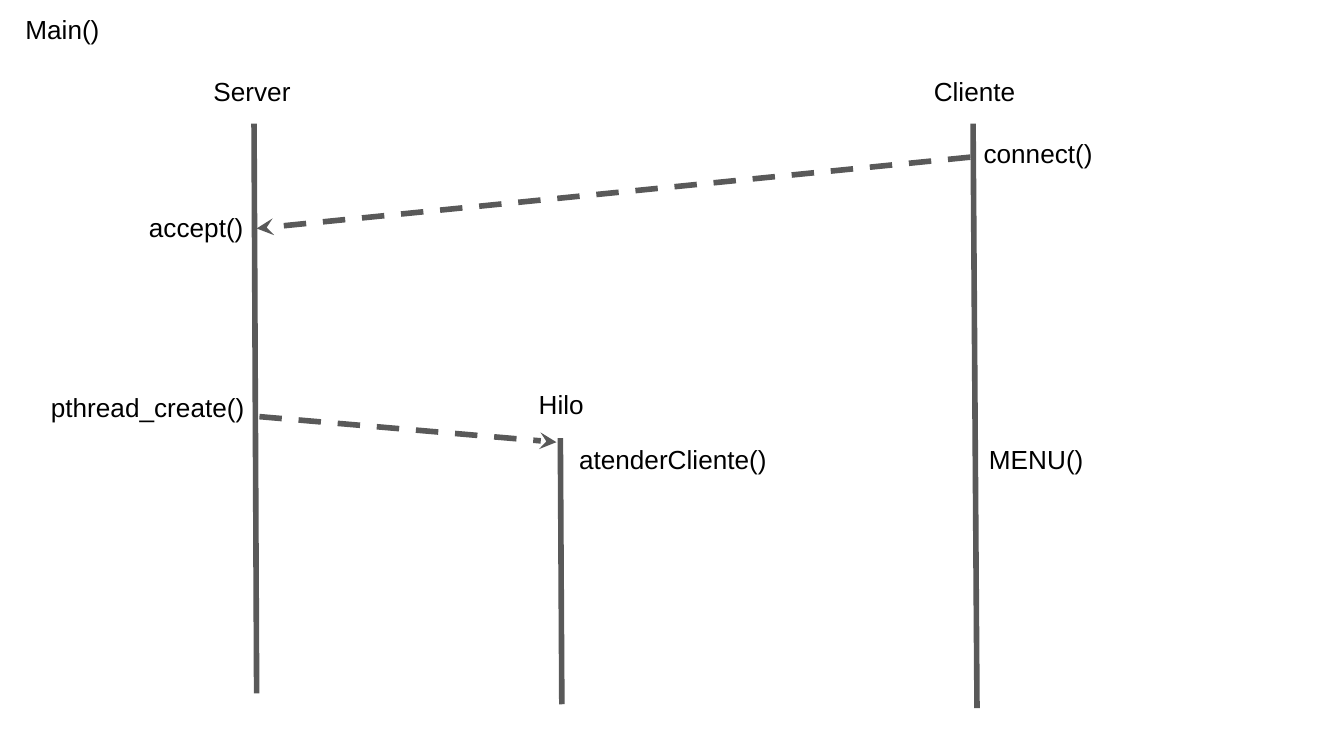
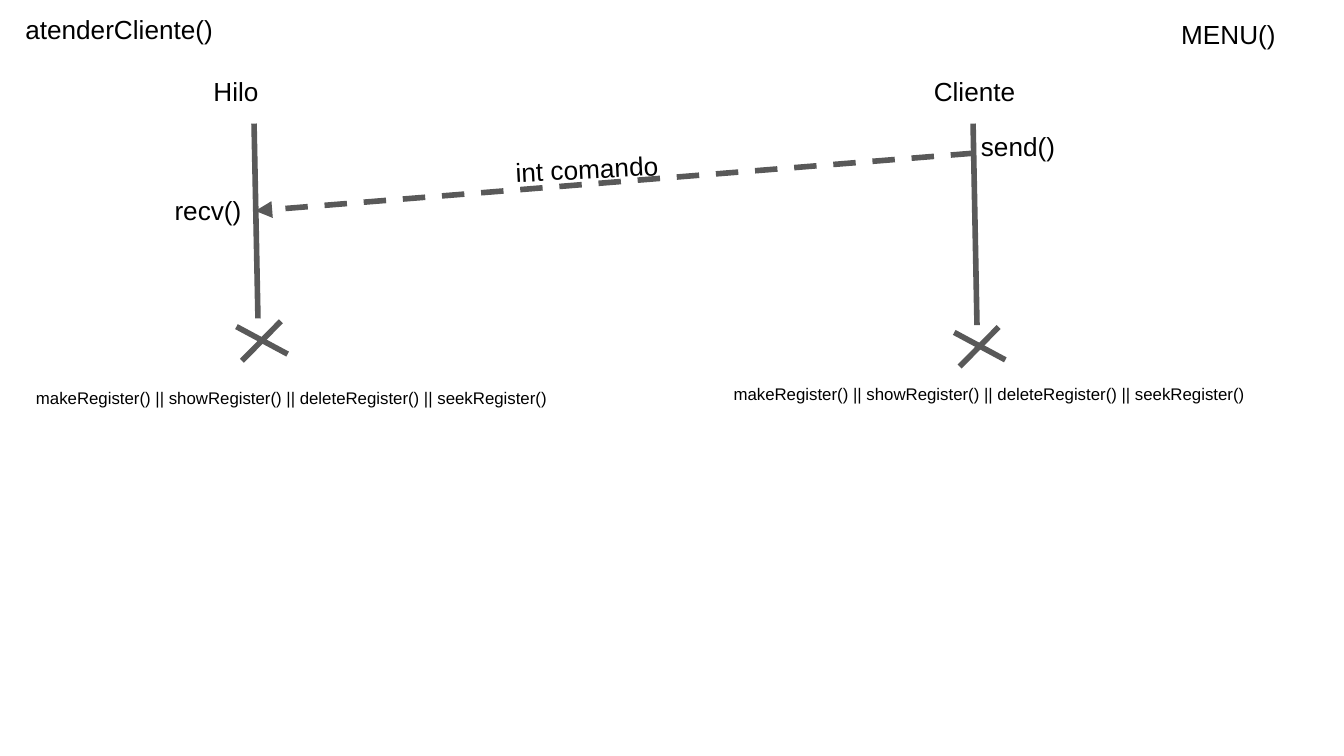
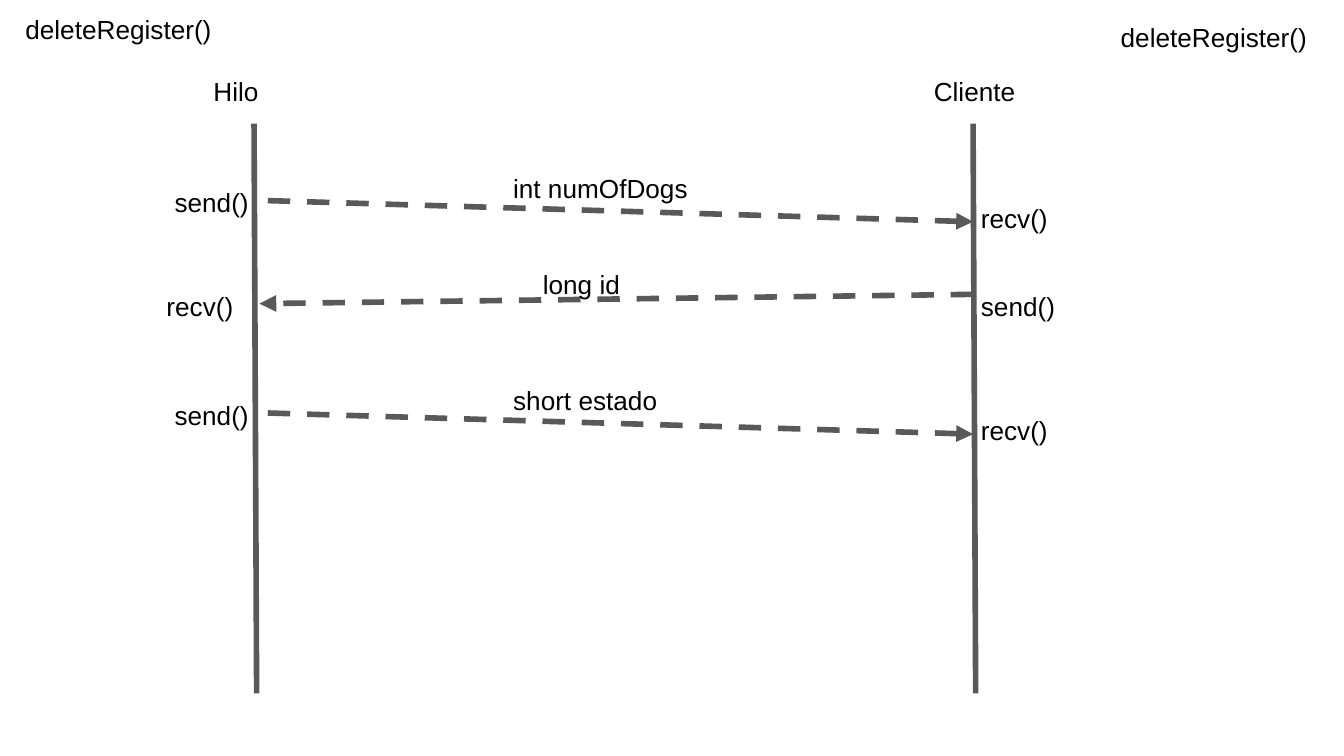
from lxml.etree import SubElement
from pptx import Presentation
from pptx.dml.color import RGBColor
from pptx.enum.dml import MSO_LINE
from pptx.enum.shapes import MSO_CONNECTOR
from pptx.oxml.ns import qn
from pptx.util import Pt


def color(value):
    return RGBColor.from_string(value)


class SequenceDeck:
    font_name = "Arial"
    text_color = "000000"
    line_color = "595959"
    background = "FFFFFF"
    line_width = 3
    inset = 7.2
    lifeline_top = 66.2
    left_lifeline = 136.1
    right_lifeline = 521.3

    def __init__(self):
        self.deck = Presentation()
        self.deck.slide_width = Pt(720)
        self.deck.slide_height = Pt(405)
        self.page = None

    def new_page(self):
        self.page = self.deck.slides.add_slide(self.deck.slide_layouts[6])
        fill = self.page.background.fill
        fill.solid()
        fill.fore_color.rgb = color(self.background)

    def label(self, text, left, top, width, height, size=14, rotation=0):
        box = self.page.shapes.add_textbox(Pt(left), Pt(top), Pt(width), Pt(height))
        box.rotation = rotation
        frame = box.text_frame
        frame.word_wrap = True
        frame.margin_left = frame.margin_right = Pt(self.inset)
        frame.margin_top = frame.margin_bottom = Pt(self.inset)
        para = frame.paragraphs[0]
        para.text = text
        para.font.name = self.font_name
        para.font.size = Pt(size)
        para.font.color.rgb = color(self.text_color)

    def line(self, x1, y1, x2, y2):
        connector = self.page.shapes.add_connector(
            MSO_CONNECTOR.STRAIGHT, Pt(x1), Pt(y1), Pt(x2), Pt(y2))
        connector.line.color.rgb = color(self.line_color)
        connector.line.width = Pt(self.line_width)
        SubElement(connector._element.spPr, qn("a:effectLst"))
        return connector

    def message(self, x1, y1, x2, y2, head="triangle", end="tailEnd"):
        arrow = self.line(x1, y1, x2, y2)
        arrow.line.dash_style = MSO_LINE.DASH
        outline = arrow._element.spPr.find(qn("a:ln"))
        SubElement(outline, qn(f"a:{end}"), type=head)

    def lifelines(self, left_name, left_end, right_end):
        self.line(self.left_lifeline, self.lifeline_top, *left_end)
        self.line(self.right_lifeline, self.lifeline_top, *right_end)
        self.label("Cliente", 493.2, 33.1, 144, 33.1)
        self.label(left_name, 107.3, 33.1, 141.1, 33.1)

    def title(self, text, width):
        self.label(text, 6.5, 0, width, 24.5)

    def cross(self, left, top):
        self.line(left, top + 2.9, left + 27.4, top + 17.6)
        self.line(left + 23.8, top, left + 2.9, top + 21.2)


def build_main(sequence):
    sequence.new_page()
    sequence.lifelines("Server", (137.5, 371.5), (523.4, 379.4))
    sequence.title("Main()", 85)
    sequence.message(519.8, 84.2, 137.5, 122.4, "stealth")
    sequence.label("connect()", 519.8, 66.2, 77.8, 24.5)
    sequence.label("accept()", 72.7, 105.8, 65.5, 22.3)
    sequence.line(300.2, 234.7, 301, 377.3)
    sequence.message(139, 223.2, 298.1, 236.9, "stealth")
    sequence.label("pthread_create()", 20.2, 202.3, 125.3, 24.5)
    sequence.label("Hilo", 281.5, 200.9, 87.8, 22.3)
    sequence.label("atenderCliente()", 303.1, 230.4, 118.8, 22.3)
    sequence.label("MENU()", 522.7, 230.4, 118.8, 22.3)


def build_command(sequence):
    sequence.new_page()
    sequence.lifelines("Hilo", (138.2, 170.6), (523.4, 174.2))
    sequence.title("atenderCliente()", 133.9)
    sequence.label("MENU()", 625.7, 2.9, 90.7, 24.5)
    sequence.message(521.3, 82.1, 136.8, 113)
    sequence.label("send()", 518.4, 62.6, 72, 19.4)
    sequence.label("int comando", 268.6, 74.2, 109.4, 15.8, rotation=357)
    sequence.label("recv()", 86.4, 97.2, 71.3, 19.4)
    handlers = " || ".join(
        f"{action}Register()" for action in ("make", "show", "delete", "seek"))
    for cross_left, cross_top, text_left, text_top in (
            (126.7, 172.1, 12.2, 202.3), (511.2, 175.2, 385.9, 200.2)):
        sequence.cross(cross_left, cross_top)
        sequence.label(handlers, text_left, text_top, 578.2, 27.4, size=9)


def build_delete(sequence):
    sequence.new_page()
    sequence.lifelines("Hilo", (137.5, 371.5), (522.7, 371.5))
    sequence.title("deleteRegister()", 123.1)
    sequence.label("deleteRegister()", 593.3, 4.3, 123.1, 24.5)
    for value, top in (("int numOfDogs", 85), ("short estado", 198.8)):
        sequence.message(521.3, top + 33.8, 137.5, top + 22.3, end="headEnd")
        sequence.label("send()", 86.4, top + 7.9, 70.6, 24.5)
        sequence.label("recv()", 518.4, top + 16.2, 61.9, 29.5)
        sequence.label(value, 267.8, top, 109.4, 15.8)
    sequence.message(521.3, 157.7, 139, 162.7)
    sequence.label("send()", 518.4, 148.3, 70.6, 24.5)
    sequence.label("recv()", 82.1, 148.3, 61.9, 29.5)
    sequence.label("long id", 283.7, 136.8, 109.4, 15.8)


def main():
    sequence = SequenceDeck()
    build_main(sequence)
    build_command(sequence)
    build_delete(sequence)
    sequence.deck.save("out.pptx")


if __name__ == "__main__":
    main()
